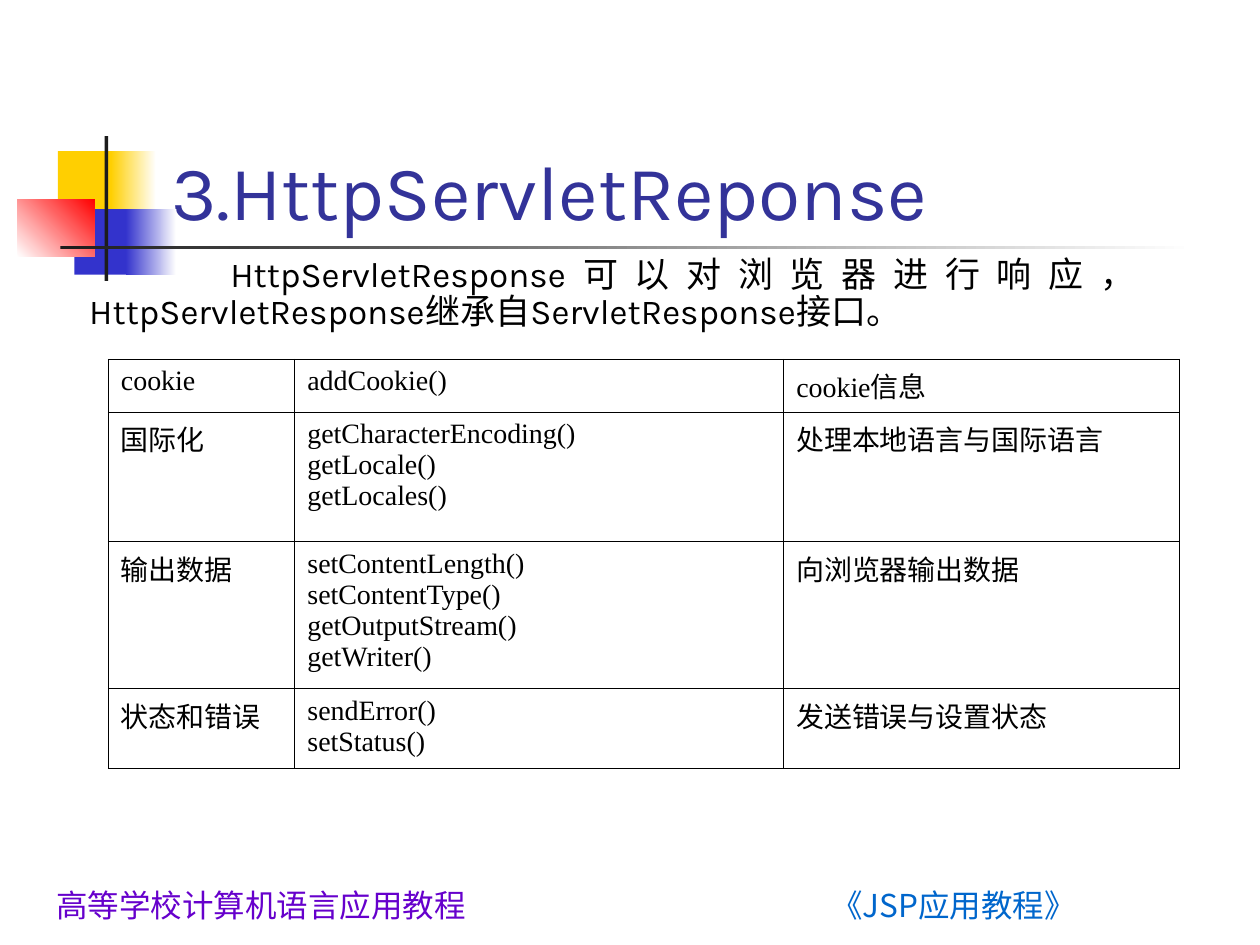
import pptx
import pptx.util
import pptx.dml.color
import pptx.enum.shapes
import pptx.enum.text
import pptx.oxml
import pptx.oxml.ns

Inches = pptx.util.Inches
Pt = pptx.util.Pt
ALIGN = pptx.enum.text.PP_ALIGN
ANCHOR = pptx.enum.text.MSO_ANCHOR


def rgb(value):
    return pptx.dml.color.RGBColor.from_string(value)


def box(*lengths):
    return [Inches(v) for v in lengths]


def apply(target, values):
    for name, value in values.items():
        setattr(target, name, value)


class SlideBuilder:
    cjk = "Noto Sans CJK SC"
    latin = "Karla"
    table_font = "Times New Roman"
    line_color = "000000"
    line_width = 0.45

    def __init__(self, prs):
        self.s = prs.slides.add_slide(prs.slide_layouts[5])

    def add_text(self, p, text, font, size, color, layout=None):
        apply(p, layout or {})
        r = p.add_run()
        r.text = text
        apply(r.font, {"name": font, "size": Pt(size), "bold": False})
        r.font.color.rgb = rgb(color)
        ea = pptx.oxml.parse_xml(
            f'<a:ea {pptx.oxml.ns.nsdecls("a")} typeface="{self.cjk}"/>')
        r.font._element.find(pptx.oxml.ns.qn("a:latin")).addnext(ea)

    def rect(self, at, color, end=None, angle=0):
        sp = self.s.shapes.add_shape(
            pptx.enum.shapes.MSO_SHAPE.RECTANGLE, *box(*at))
        sp.shadow.inherit = False
        sp.line.fill.background()
        if end is None:
            sp.fill.solid()
            sp.fill.fore_color.rgb = rgb(color)
            return
        sp.fill.gradient()
        sp.fill.gradient_angle = angle
        for stop, value in zip(sp.fill.gradient_stops, (color, end)):
            stop.color.rgb = rgb(value)

    def title(self, at, text, size, color):
        sp = self.s.shapes.title
        apply(sp, dict(zip(("left", "top", "width", "height"), box(*at))))
        tf = sp.text_frame
        apply(tf, {"vertical_anchor": ANCHOR.BOTTOM, "word_wrap": True,
                   "auto_size": pptx.enum.text.MSO_AUTO_SIZE.NONE})
        self.add_text(tf.paragraphs[0], text, self.latin, size, color,
                      {"alignment": ALIGN.LEFT})

    def text(self, at, text, font, size, color, wrap=True, layout=None,
             indent=0):
        tf = self.s.shapes.add_textbox(*box(*at)).text_frame
        tf.word_wrap = wrap
        p = tf.paragraphs[0]
        self.add_text(p, text, font, size, color, layout)
        if indent:
            p._p.get_or_add_pPr().set("indent", str(Inches(indent)))

    def border(self, cell):
        tc_pr = cell._tc.get_or_add_tcPr()
        for side in "LRTB":
            tc_pr.append(pptx.oxml.parse_xml(
                f'<a:ln{side} {pptx.oxml.ns.nsdecls("a")} '
                f'w="{Pt(self.line_width)}"><a:solidFill>'
                f'<a:srgbClr val="{self.line_color}"/>'
                f'</a:solidFill></a:ln{side}>'))

    def table(self, at, widths, heights, rows, size):
        table = self.s.shapes.add_table(
            len(rows), len(widths), *box(*at)).table
        apply(table, {"first_row": False, "horz_banding": False})
        for column, width in zip(table.columns, widths):
            column.width = Inches(width)
        for row, height, texts in zip(table.rows, heights, rows):
            row.height = Inches(height)
            for cell, text in zip(row.cells, texts):
                self.border(cell)
                cell.fill.background()
                tf = cell.text_frame
                for i, line in enumerate(text.split("\n")):
                    p = tf.add_paragraph() if i else tf.paragraphs[0]
                    self.add_text(p, line, self.table_font, size, "000000")


def main():
    prs = pptx.Presentation()
    apply(prs, {"slide_width": Inches(10), "slide_height": Inches(7.5)})
    b = SlideBuilder(prs)

    b.rect((0.46, 1.2, 0.48, 0.52), "FFCF01")
    b.rect((0.88, 1.2, 0.36, 0.52), "FFCF01", "FFFFFF")
    b.rect((0.59, 1.66, 0.46, 0.52), "3333CC")
    b.rect((1, 1.66, 0.4, 0.52), "3333CC", "FFFFFF")
    b.rect((0.14, 1.58, 0.61, 0.46), "FFFFFF", "FF0000", 45)
    b.rect((0.83, 1.08, 0.03, 1.15), "1C1C1C")
    b.rect((0.48, 1.95, 9, 0.03), "1C1C1C", "FFFFFF")

    b.text((6.5, 6.98, 3.5, 0.28), "《JSP应用教程》", b.cjk, 18, "0066CC",
           wrap=False)
    b.text((0.35, 6.98, 5.04, 0.52), "高等学校计算机语言应用教程", b.cjk, 18,
           "6600CC", wrap=False)

    b.title((1.26, 0.67, 8.52, 1.25), "3.HttpServletReponse", 44, "333399")
    b.text((0.61, 1.99, 8.5, 4.93),
           "HttpServletResponse可以对浏览器进行响应，"
           "HttpServletResponse继承自ServletResponse接口。",
           b.latin, 20, "000000", indent=1.12,
           layout={"alignment": ALIGN.JUSTIFY, "line_spacing": 0.9,
                   "space_before": Pt(5)})

    rows = [
        ("cookie", "addCookie()", "cookie信息"),
        ("国际化", "getCharacterEncoding()\ngetLocale()\ngetLocales()",
         "处理本地语言与国际语言"),
        ("输出数据", "setContentLength()\nsetContentType()\n"
         "getOutputStream()\ngetWriter()", "向浏览器输出数据"),
        ("状态和错误", "sendError()\nsetStatus()", "发送错误与设置状态"),
    ]
    b.table((0.86, 2.85, 8.5, 3.22), (1.48, 3.88, 3.14),
            (0.42, 1.03, 1.14, 0.62), rows, 16)

    prs.save("out.pptx")


if __name__ == "__main__":
    main()
